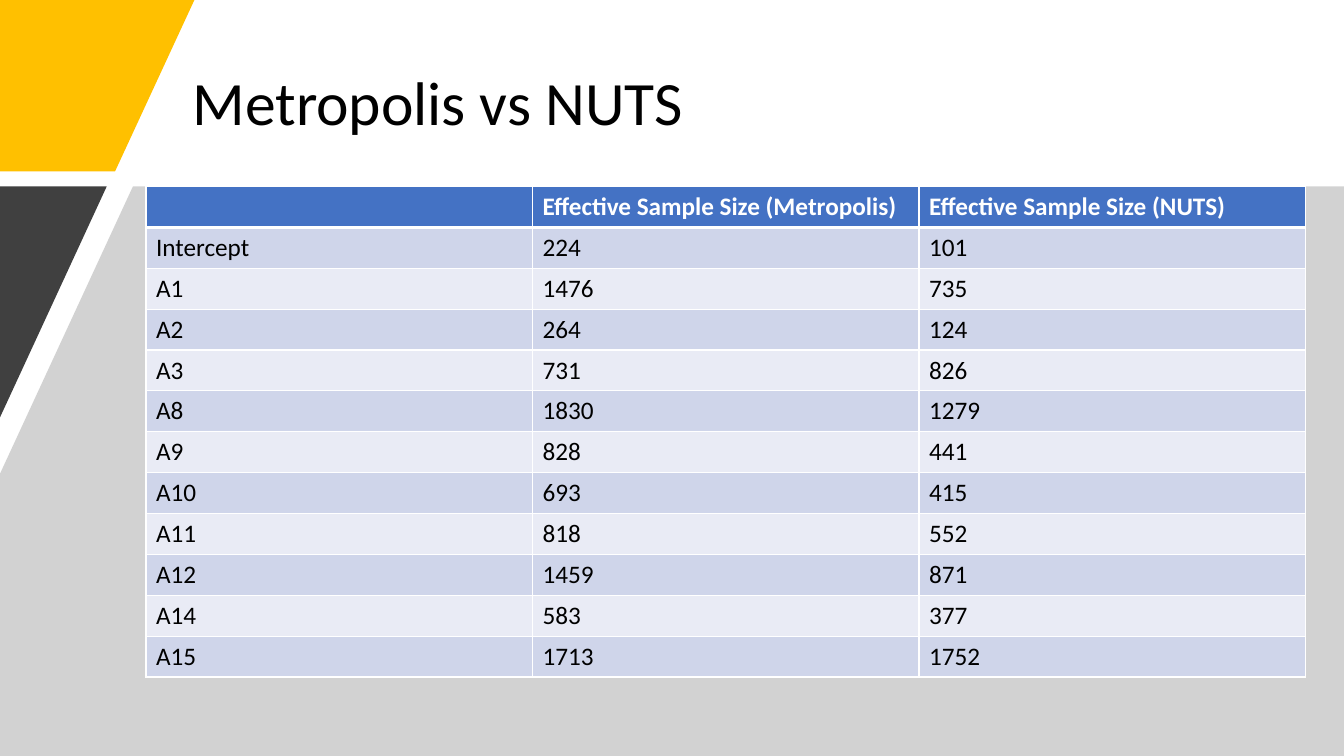
from dataclasses import dataclass

from lxml.etree import SubElement as Sub
from pptx import Presentation
from pptx.dml.color import RGBColor as RGB
from pptx.enum.text import MSO_ANCHOR as Anchor
from pptx.oxml.ns import qn
from pptx.util import Cm, Pt

TITLE = "Metropolis vs NUTS"
ROWS = [
    ("", "Effective Sample Size (Metropolis)", "Effective Sample Size (NUTS)"),
    ("Intercept", "224", "101"),
    ("A1", "1476", "735"),
    ("A2", "264", "124"),
    ("A3", "731", "826"),
    ("A8", "1830", "1279"),
    ("A9", "828", "441"),
    ("A10", "693", "415"),
    ("A11", "818", "552"),
    ("A12", "1459", "871"),
    ("A14", "583", "377"),
    ("A15", "1713", "1752"),
]
WIDE, HIGH = 33.87, 19.05
BAND = 4.7  # top of the grey field, the dark wedge and the table
COL, ROW = 9.74, 1.03


@dataclass(frozen=True)
class Theme:
    font: str = "Calibri"
    head: int = 44
    body: int = 18
    thin: int = 1
    thick: int = 3
    black: str = "000000"
    white: str = "FFFFFF"
    gold: str = "FFC000"
    grey: str = "A6A6A6"
    dark: str = "404040"
    blue: str = "4472C4"
    bands: tuple = ("E9EBF5", "CFD5EA")


T = Theme()
# fill, opacity in percent, corners in cm
PANELS = [
    (T.gold, 100, [(0, 0), (4.9, 0), (2.9, 4.32), (0, 4.32)]),
    (T.grey, 50, [(3.35, BAND), (WIDE, BAND), (WIDE, HIGH), (0, HIGH), (0, 11.94)]),
    (T.dark, 100, [(0, BAND), (2.69, BAND), (0, 10.52)]),
]


def paint(fill, hue):
    fill.solid()
    fill.fore_color.rgb = RGB.from_string(hue)


def write(para, text, size, hue, bold=False):
    run = para.add_run()
    run.text = text
    font = run.font
    font.name, font.size, font.bold = T.font, Pt(size), bold
    font.color.rgb = RGB.from_string(hue)


def panel(slide, hue, alpha, spots):
    (x, y), *rest = [(Cm(a), Cm(b)) for a, b in spots]
    form = slide.shapes.build_freeform(x, y)
    form.add_line_segments(rest, close=True)
    shape = form.convert_to_shape()
    shape.shadow.inherit = False
    shape.line.fill.background()
    paint(shape.fill, hue)
    if alpha < 100:
        tone = shape.fill._xPr.find(qn("a:solidFill"))[0]
        Sub(tone, qn("a:alpha"), val=str(alpha * 1000))


def edge(cell, sides):
    """Draw white borders, given as pairs of side and width in points."""
    props = cell._tc.get_or_add_tcPr()
    for spot, (side, width) in enumerate(sides):
        line = Sub(props, qn(f"a:ln{side}"), w=str(Pt(width)))
        Sub(Sub(line, qn("a:solidFill")), qn("a:srgbClr"), val=T.white)
        props.insert(spot, line)  # borders must come before the fill


def title(slide):
    box = slide.shapes.add_textbox(Cm(4.6), Cm(1.02), Cm(26.01), Cm(3.3))
    frame = box.text_frame
    frame.word_wrap = True
    frame.vertical_anchor = Anchor.MIDDLE
    para = frame.paragraphs[0]
    para.line_spacing = 0.9
    write(para, TITLE, T.head, T.black)


def table(slide):
    rows, cols = len(ROWS), len(ROWS[0])
    grid = slide.shapes.add_table(
        rows, cols, Cm(3.68), Cm(BAND), Cm(COL * cols), Cm(ROW * rows)
    ).table
    for col in grid.columns:
        col.width = Cm(COL)
    for r, row in enumerate(ROWS):
        grid.rows[r].height = Cm(ROW)
        top = r == 0
        for c, text in enumerate(row):
            cell = grid.cell(r, c)
            paint(cell.fill, T.blue if top else T.bands[r % 2])
            edge(cell, [
                ("L", T.thin),
                ("R", T.thin),
                ("T", T.thick if r == 1 else T.thin),
                ("B", T.thick if top else T.thin),
            ])
            para = cell.text_frame.paragraphs[0]
            if text:
                write(para, text, T.body, T.white if top else T.black, top)
            else:
                para.font.size = Pt(T.body)


def main():
    deck = Presentation()
    deck.slide_width, deck.slide_height = Cm(WIDE), Cm(HIGH)
    slide = deck.slides.add_slide(deck.slide_layouts[6])
    paint(slide.background.fill, T.white)
    title(slide)
    for item in PANELS:
        panel(slide, *item)
    table(slide)
    deck.save("out.pptx")


if __name__ == "__main__":
    main()
